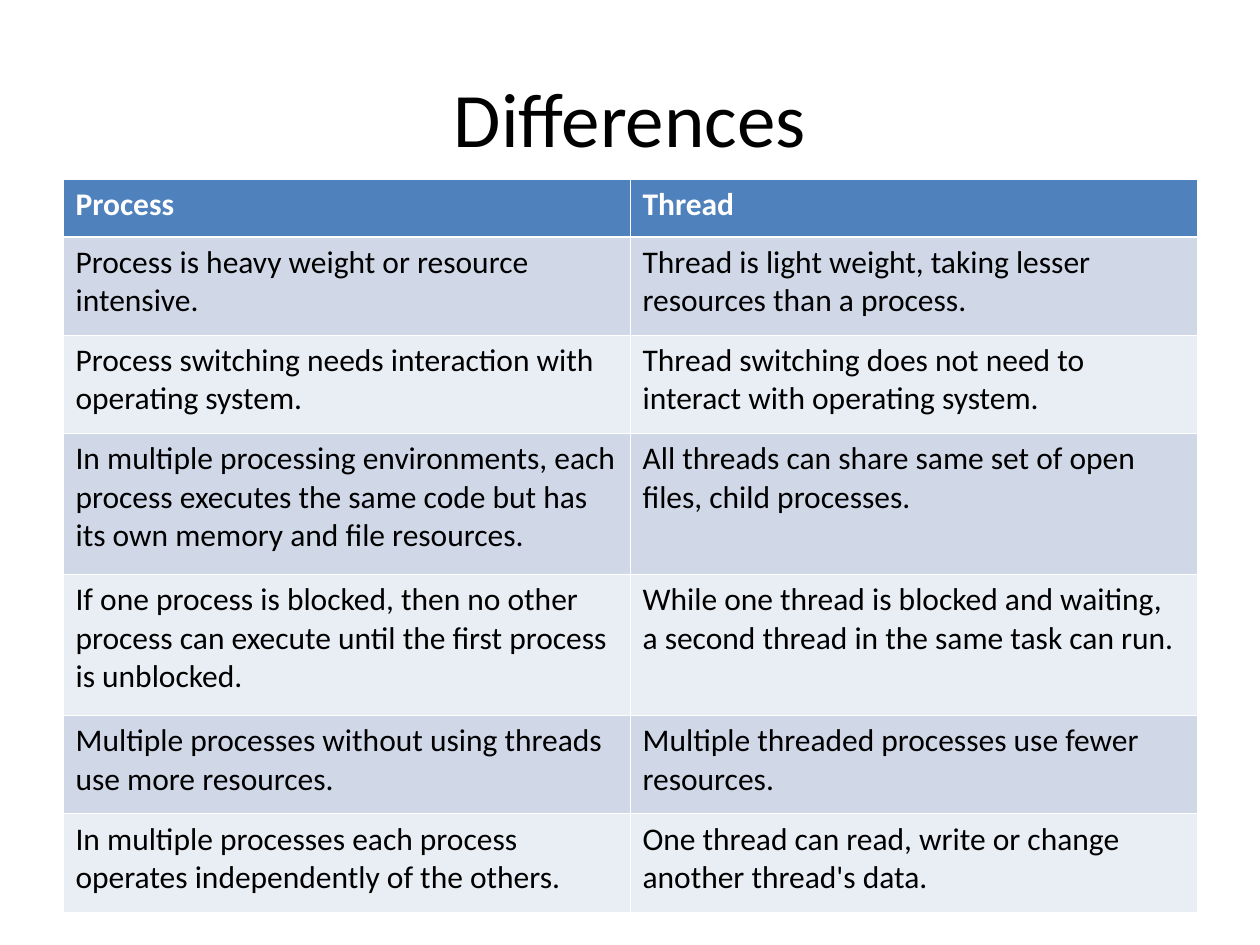
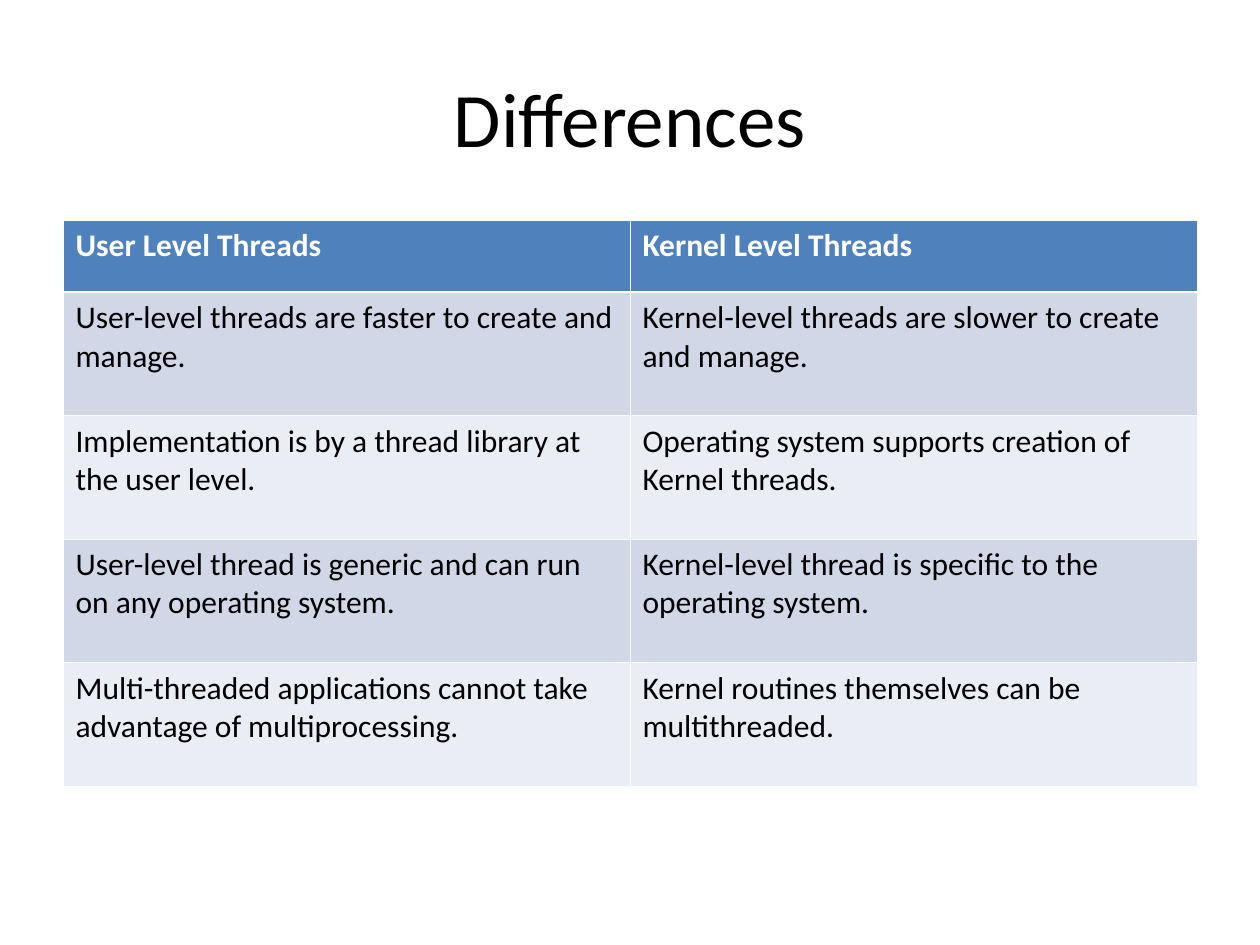
from dataclasses import dataclass

from lxml.etree import SubElement
from pptx import Presentation
from pptx.dml.color import RGBColor
from pptx.enum.text import MSO_ANCHOR, PP_ALIGN
from pptx.oxml.ns import qn
from pptx.util import Inches, Pt


@dataclass(frozen=True)
class Theme:
    font: str = "Calibri"
    ink: str = "000000"
    paper: str = "FFFFFF"
    head: str = "4F81BD"
    bands: tuple = ("D0D8E8", "E9EDF4")
    title: int = 44
    body: int = 18
    thin: float = 0.45
    thick: float = 1.47


class Deck:
    def __init__(self, theme):
        self.theme = theme
        self.file = Presentation()
        self.file.slide_width, self.file.slide_height = Inches(10), Inches(7.5)
        self.slide = None

    def page(self, title):
        self.slide = self.file.slides.add_slide(self.file.slide_layouts[6])
        box = self.slide.shapes.add_textbox(
            Inches(0.5), Inches(0.3), Inches(9), Inches(1.25))
        frame = box.text_frame
        look = {"word_wrap": True, "vertical_anchor": MSO_ANCHOR.MIDDLE}
        for name, value in look.items():
            setattr(frame, name, value)
        self.label(frame, title, self.theme.ink, size=Pt(self.theme.title))
        frame.paragraphs[0].alignment = PP_ALIGN.CENTER

    def label(self, frame, text, color, **look):
        para = frame.paragraphs[0]
        para.text = text
        for name, value in {"name": self.theme.font, **look}.items():
            setattr(para.font, name, value)
        para.font.color.rgb = RGBColor.from_string(color)

    def edge(self, cell, row):
        """Draw the cell borders, with a thick rule below the header."""
        thick = {(0, "lnB"), (1, "lnT")}
        for side in ("lnL", "lnR", "lnT", "lnB"):
            width = self.theme.thick if (row, side) in thick else self.theme.thin
            line = SubElement(cell._tc.get_or_add_tcPr(), qn(f"a:{side}"),
                              w=str(int(Pt(width))))
            fill = SubElement(line, qn("a:solidFill"))
            SubElement(fill, qn("a:srgbClr"), val=self.theme.paper)

    def table(self, top, rows, heights):
        theme = self.theme
        table = self.slide.shapes.add_table(
            len(rows), 2, Inches(0.5), Inches(top), Inches(9),
            Inches(sum(heights))).table
        table.first_row = table.horz_banding = False
        for r, (texts, height) in enumerate(zip(rows, heights)):
            table.rows[r].height = Inches(height)
            head = r == 0
            color = theme.paper if head else theme.ink
            band = theme.head if head else theme.bands[(r - 1) % 2]
            for c, text in enumerate(texts):
                cell = table.cell(r, c)
                self.edge(cell, r)
                cell.fill.solid()
                cell.fill.fore_color.rgb = RGBColor.from_string(band)
                self.label(cell.text_frame, text, color,
                           size=Pt(theme.body), bold=head)


PROCESS = [
    ("Process", "Thread"),
    ("Process is heavy weight or resource intensive.",
     "Thread is light weight, taking lesser resources than a process."),
    ("Process switching needs interaction with operating system.",
     "Thread switching does not need to interact with operating system."),
    ("In multiple processing environments, each process executes the same "
     "code but has its own memory and file resources.",
     "All threads can share same set of open files, child processes."),
    ("If one process is blocked, then no other process can execute until the "
     "first process is unblocked.",
     "While one thread is blocked and waiting, a second thread in the same "
     "task can run."),
    ("Multiple processes without using threads use more resources.",
     "Multiple threaded processes use fewer resources."),
    ("In multiple processes each process operates independently of the others.",
     "One thread can read, write or change another thread's data."),
]

LEVELS = [
    ("User Level Threads", "Kernel Level Threads"),
    ("User-level threads are faster to create and manage.",
     "Kernel-level threads are slower to create and manage."),
    ("Implementation is by a thread library at the user level.",
     "Operating system supports creation of Kernel threads."),
    ("User-level thread is generic and can run on any operating system.",
     "Kernel-level thread is specific to the operating system."),
    ("Multi-threaded applications cannot take advantage of multiprocessing.",
     "Kernel routines themselves can be multithreaded."),
]


def main():
    deck = Deck(Theme())
    two, three = 0.78, 1.12
    for top, rows, heights in (
        (1.42, PROCESS, [0.46, two, two, three, three, two, two]),
        (1.75, LEVELS, [0.57] + [0.98] * 4),
    ):
        deck.page("Differences")
        deck.table(top, rows, heights)
    deck.file.save("out.pptx")


if __name__ == "__main__":
    main()
